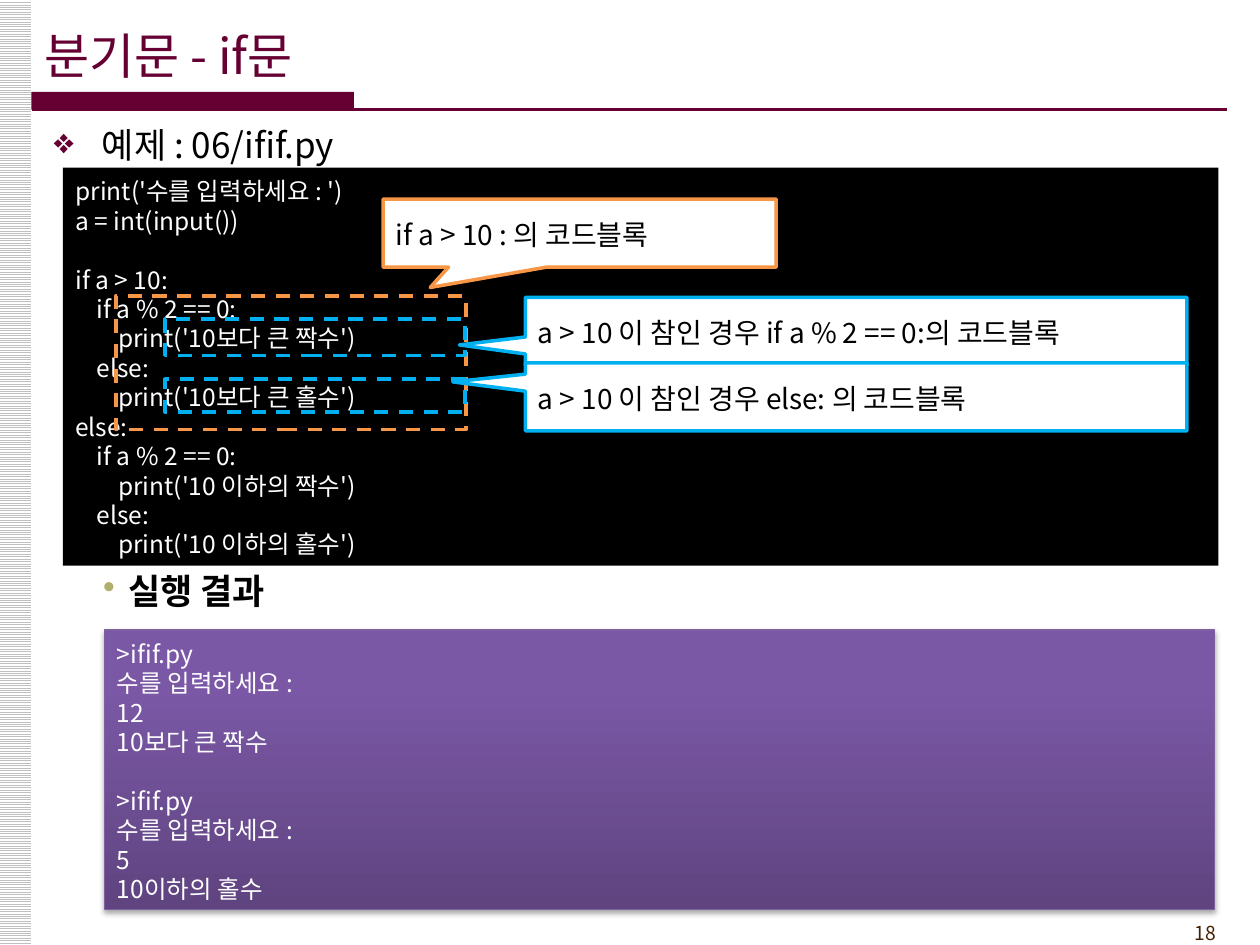
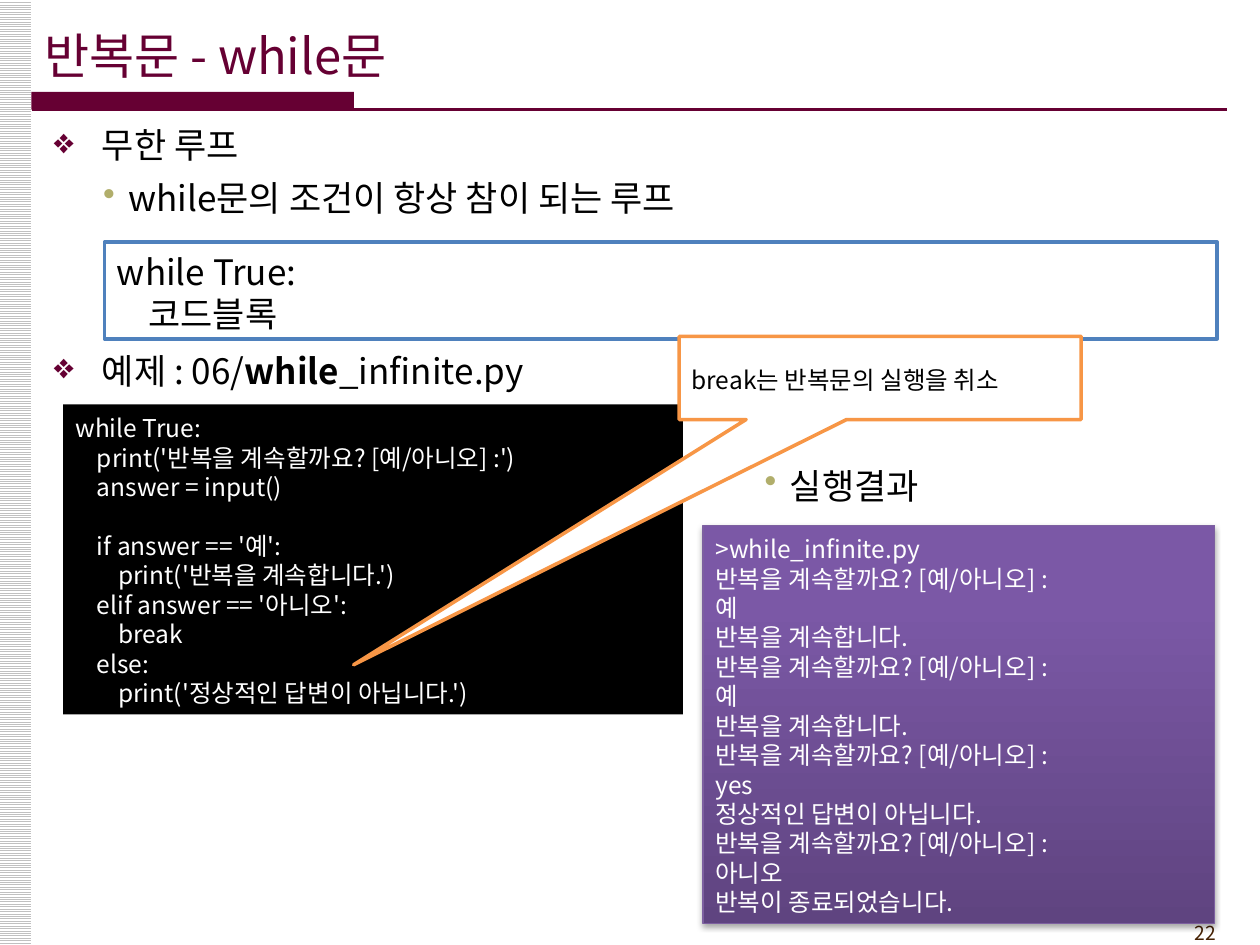
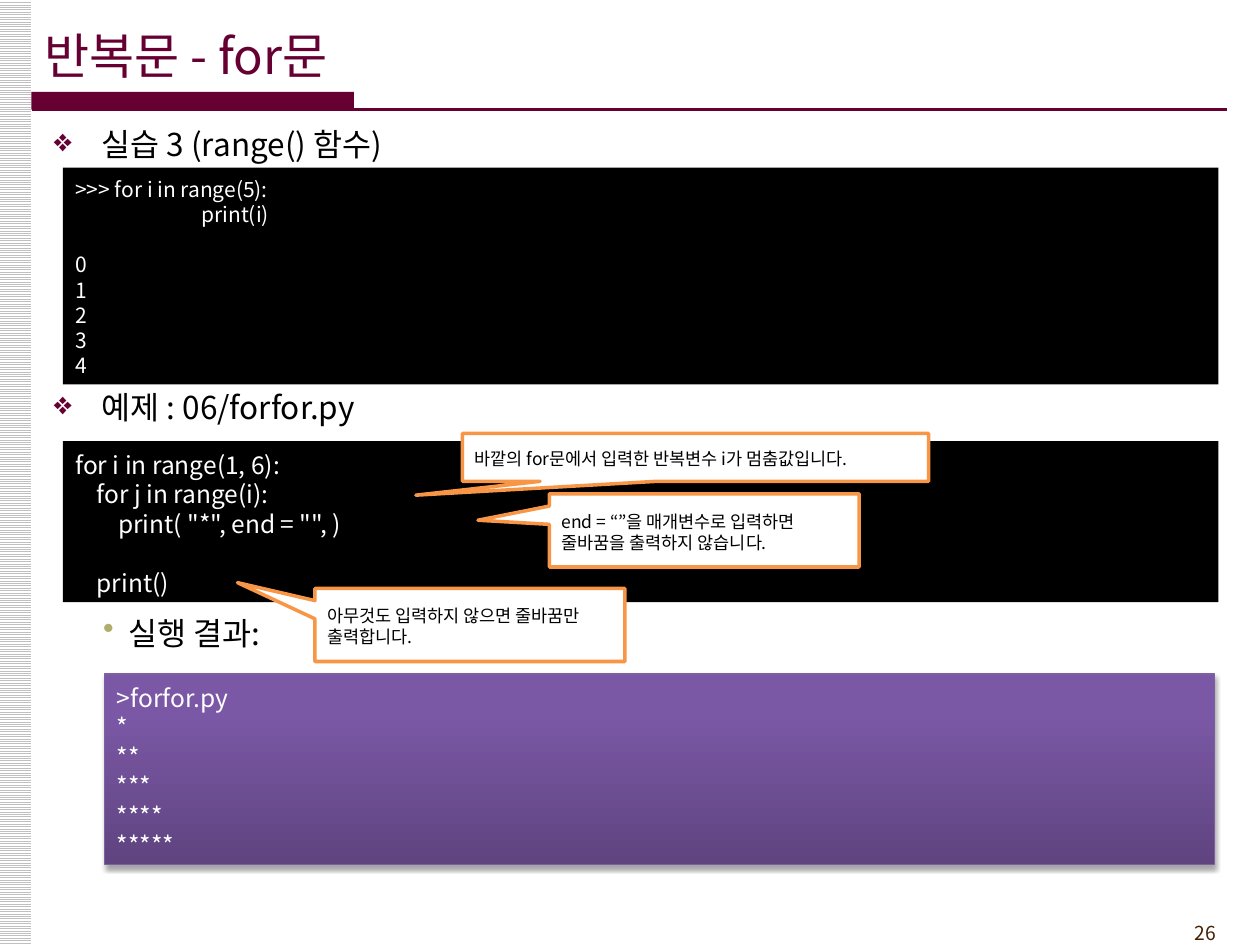
from lxml import etree
from pptx import Presentation, util as u
from pptx.dml import color
from pptx.enum import dml, shapes, text
from pptx.oxml import ns

PX = 9144  # 100 px to the inch
FONT = "Noto Sans CJK KR"
C = {
    "white": "FFFFFF", "black": "000000", "wine": "660033", "stripe": "C0C0C0",
    "number": "452103", "olive": "B1AE6B", "orange": "F79646", "sky": "00B0F0",
    "blue": "4F81BD", "edge": "7D60A0", "purple_dark": "5F4480", "purple": "7B58A6",
}
RGB = {name: color.RGBColor.from_string(value) for name, value in C.items()}
RECT = shapes.MSO_SHAPE.RECTANGLE
CALLOUT = shapes.MSO_SHAPE.RECTANGULAR_CALLOUT
# bullet level: character, colour, text indent, hanging indent
BULLETS = [("❖", "wine", 38, 38), ("•", "olive", 59, 20)]


def box(s, preset, at, fill=None, line=None, width=2):
    sp = s.shapes.add_shape(preset, *[v * PX for v in at])
    sp.shadow.inherit = False
    if fill:
        sp.fill.solid()
        sp.fill.fore_color.rgb = RGB[fill]
    else:
        sp.fill.background()
    if line:
        sp.line.color.rgb = RGB[line]
        sp.line.width = u.Pt(width)
    else:
        sp.line.fill.background()
    return sp


def write(sp, content, size, colour, anchor="TOP", align="LEFT", step=None):
    """Write lines: leading spaces become indents, empty lines become spacing, |...| is bold."""
    tf = sp.text_frame
    tf.word_wrap = True
    tf.auto_size = text.MSO_AUTO_SIZE.NONE
    tf.vertical_anchor = text.MSO_ANCHOR[anchor]
    tf.margin_left = tf.margin_right = 10 * PX
    tf.margin_top, tf.margin_bottom = 7 * PX, 5 * PX
    p, gap = None, 0
    for row in content.splitlines():
        if not row:
            gap += size * 1.2
            continue
        p = tf.add_paragraph() if p else tf.paragraphs[0]
        p.alignment = text.PP_ALIGN[align]
        p.line_spacing = u.Pt(size * 1.2)
        p.space_before = u.Pt(gap)
        gap = 0
        line = row.lstrip()
        level = (len(row) - len(line)) // 4
        if level:
            indent = level * (step or size * 5 // 4)
            p._p.get_or_add_pPr().set("marL", str(indent * PX))
        for i, part in enumerate(line.split("|")):
            if part:
                r = p.add_run()
                r.text = part
                r.font.size = u.Pt(size)
                r.font.bold = i % 2 == 1
                r.font.name = FONT
                r.font.color.rgb = RGB[colour]
                etree.SubElement(r._r.rPr, ns.qn("a:ea"), typeface=FONT)


# bullets: level, x, y, width, size, text
# code: place, fill, line, size, colour, indent step, text
# output: place, text
# frames: place, line
# callouts: place, tip, line, size, text
slides = [
    {
        "title": "분기문 - if문", "number": "18",
        "bullets": [(0, 33, 94, 900, 20, "예제 : 06/ifif.py"),
                    (1, 33, 448, 900, 20, "|실행 결과|")],
        "code": [((50, 133, 917, 316), "black", None, 14, "white", None, """print('수를 입력하세요 : ')
a = int(input())

if a > 10:
    if a % 2 == 0:
        print('10보다 큰 짝수')
    else:
        print('10보다 큰 홀수')
else:
    if a % 2 == 0:
        print('10 이하의 짝수')
    else:
        print('10 이하의 홀수')""")],
        "output": ((83, 500, 881, 222), """>ifif.py
수를 입력하세요 :
12
10보다 큰 짝수

>ifif.py
수를 입력하세요 :
5
10이하의 홀수"""),
        "frames": [((92, 235, 278, 106), "orange"),
                   ((131, 253, 238, 29), "sky"),
                   ((131, 301, 238, 26), "sky")],
        "callouts": [
            ((304, 158, 312, 54), (-0.38, 0.8), "orange", 16, "if a > 10 : 의 코드블록"),
            ((417, 236, 525, 54), (-0.6, 0.2), "sky", 16,
             "a > 10 이 참인 경우 if a % 2 == 0:의 코드블록"),
            ((417, 288, 525, 54), (-0.61, -0.22), "sky", 16,
             "a > 10 이 참인 경우 else: 의 코드블록"),
        ],
    },
    {
        "title": "반복문 - while문", "number": "22",
        "bullets": [(0, 33, 94, 900, 20, "무한 루프"),
                    (1, 33, 136, 900, 20, "while문의 조건이 항상 참이 되는 루프"),
                    (0, 33, 273, 500, 20, "예제 : 06/|while|_infinite.py"),
                    (1, 558, 364, 350, 20, "실행결과")],
        "code": [((83, 192, 883, 77), "white", "blue", 20, "black", None, """while True:
    코드블록"""),
                 ((50, 321, 492, 246), "black", None, 14, "white", None, """while True:
    print('반복을 계속할까요? [예/아니오] :')
    answer = input()

    if answer == '예':
        print('반복을 계속합니다.')
    elif answer == '아니오':
        break
    else:
        print('정상적인 답변이 아닙니다.')""")],
        "output": ((558, 417, 406, 316), """>while_infinite.py
반복을 계속할까요? [예/아니오] :
예
반복을 계속합니다.
반복을 계속할까요? [예/아니오] :
예
반복을 계속합니다.
반복을 계속할까요? [예/아니오] :
yes
정상적인 답변이 아닙니다.
반복을 계속할까요? [예/아니오] :
아니오
반복이 종료되었습니다."""),
        "frames": [],
        "callouts": [((539, 267, 319, 66), (-1.31, 3.45), "orange", 14,
                      "break는 반복문의 실행을 취소")],
    },
    {
        "title": "반복문 - for문", "number": "26",
        "bullets": [(0, 33, 93, 900, 18, "실습 3 (range() 함수)"),
                    (0, 33, 302, 900, 18, "예제 : 06/forfor.py"),
                    (1, 33, 481, 900, 18, "실행 결과:")],
        "code": [((50, 133, 917, 172), "black", None, 12, "white", 100, """>>> for i in range(5):
    print(i)

0
1
2
3
4"""),
                 ((50, 350, 917, 128), "black", None, 14, "white", None, """for i in range(1, 6):
    for j in range(i):
        print( "*", end = "", )

    print()""")],
        "output": ((83, 535, 881, 151), """>forfor.py
*
**
***
****
*****"""),
        "frames": [],
        "callouts": [
            ((436, 392, 246, 58), (-0.73, -0.14), "orange", 10,
             "end = “”을 매개변수로 입력하면 줄바꿈을 출력하지 않습니다."),
            ((250, 467, 246, 58), (-0.75, -0.58), "orange", 10,
             "아무것도 입력하지 않으면 줄바꿈만 출력합니다."),
            ((367, 344, 370, 38), (-0.6, 0.79), "orange", 10,
             "바깥의 for문에서 입력한 반복변수 i가 멈춤값입니다."),
        ],
    },
]

prs = Presentation()
prs.slide_width, prs.slide_height = 1000 * PX, 750 * PX

for page in slides:
    s = prs.slides.add_slide(prs.slide_layouts[5])

    # side stripe, page number, title and title rule
    stripe = box(s, RECT, (-1, 0, 26, 750), "white")
    stripe.fill.patterned()
    stripe.fill.pattern = dml.MSO_PATTERN.LIGHT_HORIZONTAL
    stripe.fill.fore_color.rgb = RGB["stripe"]
    stripe.fill.back_color.rgb = RGB["white"]
    number = s.shapes.add_textbox(892 * PX, 725 * PX, 83 * PX, 29 * PX)
    write(number, page["number"], 11, "number", "MIDDLE", "RIGHT")
    box(s, RECT, (25, 73, 256, 14), "wine")
    rule = s.shapes.add_connector(shapes.MSO_CONNECTOR.STRAIGHT,
                                  25 * PX, 87 * PX, 974 * PX, 87 * PX)
    rule.line.color.rgb = RGB["wine"]
    rule.line.width = u.Pt(1.5)
    etree.SubElement(rule._element.spPr, ns.qn("a:effectLst"))
    title = s.shapes.title
    title.left, title.top, title.width, title.height = 25 * PX, 11 * PX, 934 * PX, 63 * PX
    write(title, page["title"], 28, "wine", "MIDDLE")

    for level, x, y, width, size, words in page["bullets"]:
        sp = s.shapes.add_textbox(x * PX, y * PX, width * PX, 40 * PX)
        write(sp, words, size, "black", "MIDDLE")
        char, colour, indent, hanging = BULLETS[level]
        pPr = sp.text_frame.paragraphs[0]._p.get_or_add_pPr()
        pPr.set("marL", str(indent * PX))
        pPr.set("indent", str(-hanging * PX))
        bullet_colour = etree.SubElement(pPr, ns.qn("a:buClr"))
        etree.SubElement(bullet_colour, ns.qn("a:srgbClr"), val=C[colour])
        etree.SubElement(pPr, ns.qn("a:buChar"), char=char)

    for at, fill, line, size, colour, step, code in page["code"]:
        write(box(s, RECT, at, fill, line), code, size, colour, step=step)

    at, result = page["output"]
    console = box(s, RECT, at, "purple", "edge", 0.75)
    console.fill.gradient()
    console.fill.gradient_angle = 90
    dark, light = console.fill.gradient_stops
    dark.color.rgb, dark.position = RGB["purple_dark"], 0
    light.color.rgb, light.position = RGB["purple"], 0.8
    effects = console._element.spPr.find(ns.qn("a:effectLst"))
    shadow = etree.SubElement(effects, ns.qn("a:outerShdw"), blurRad="40000",
                              dist="23000", dir="5400000", rotWithShape="0")
    shade = etree.SubElement(shadow, ns.qn("a:srgbClr"), val=C["black"])
    etree.SubElement(shade, ns.qn("a:alpha"), val="35000")
    write(console, result, 14, "white")

    for at, line in page["frames"]:
        box(s, RECT, at, line=line).line.dash_style = dml.MSO_LINE.DASH

    for at, tip, line, size, words in page["callouts"]:
        sp = box(s, CALLOUT, at, "white", line)
        sp.adjustments[0], sp.adjustments[1] = tip
        write(sp, words, size, "black", "MIDDLE")

prs.save("out.pptx")
